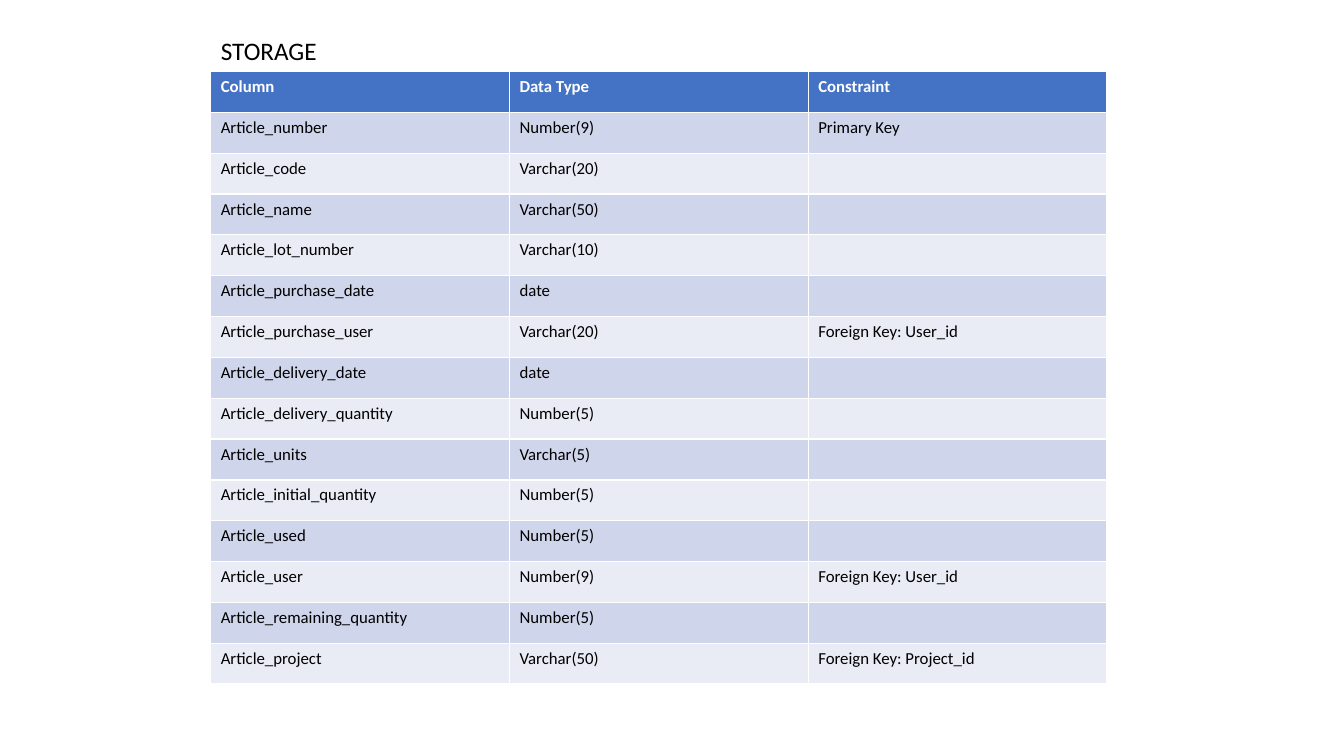
"""Build the STORAGE table definition slide."""
from dataclasses import dataclass

from pptx import Presentation
from pptx.dml.color import RGBColor
from pptx.enum.text import MSO_ANCHOR, MSO_AUTO_SIZE, PP_ALIGN
from pptx.slide import Slide
from pptx.table import Table
from pptx.text.text import _Paragraph
from pptx.util import Inches, Pt


@dataclass(frozen=True)
class Theme:
    font: str = "Calibri"
    white: RGBColor = RGBColor(0xFF, 0xFF, 0xFF)
    black: RGBColor = RGBColor(0, 0, 0)
    head: RGBColor = RGBColor(0x44, 0x72, 0xC4)
    bands: tuple[RGBColor, ...] = (RGBColor(0xCF, 0xD5, 0xEA), RGBColor(0xE9, 0xEB, 0xF5))
    title: Pt = Pt(18)
    body: Pt = Pt(12)


@dataclass(frozen=True)
class Field:
    name: str
    kind: str
    rule: str = ""


THEME = Theme()
LEFT = Inches(2.09)
WIDTH = Inches(8.89)
HEIGHT = Inches(6.08)
HEAD = Field("Column", "Data Type", "Constraint")
FIELDS = [
    Field("Article_number", "Number(9)", "Primary Key"),
    Field("Article_code", "Varchar(20)"),
    Field("Article_name", "Varchar(50)"),
    Field("Article_lot_number", "Varchar(10)"),
    Field("Article_purchase_date", "date"),
    Field("Article_purchase_user", "Varchar(20)", "Foreign Key: User_id"),
    Field("Article_delivery_date", "date"),
    Field("Article_delivery_quantity", "Number(5)"),
    Field("Article_units", "Varchar(5)"),
    Field("Article_initial_quantity", "Number(5)"),
    Field("Article_used", "Number(5)"),
    Field("Article_user", "Number(9)", "Foreign Key: User_id"),
    Field("Article_remaining_quantity", "Number(5)"),
    Field("Article_project", "Varchar(50)", "Foreign Key: Project_id"),
]


def add_text(para: _Paragraph, text: str, size: Pt, color: RGBColor, bold: bool = False) -> None:
    run = para.add_run()
    run.text = text
    run.font.name = THEME.font
    run.font.size = size
    run.font.bold = bold
    run.font.color.rgb = color


def add_title(slide: Slide, text: str) -> None:
    title = slide.shapes.title
    title.left, title.top = LEFT, Inches(0.3)
    title.width, title.height = Inches(1.16), Inches(0.4)
    frame = title.text_frame
    frame.word_wrap = False
    frame.auto_size = MSO_AUTO_SIZE.SHAPE_TO_FIT_TEXT
    frame.vertical_anchor = MSO_ANCHOR.TOP
    para = frame.paragraphs[0]
    para.alignment = PP_ALIGN.LEFT
    add_text(para, text, THEME.title, THEME.black)


def fill_row(table: Table, row: int, field: Field, fill: RGBColor, color: RGBColor, bold: bool) -> None:
    for col, text in enumerate((field.name, field.kind, field.rule)):
        cell = table.cell(row, col)
        cell.fill.solid()
        cell.fill.fore_color.rgb = fill
        if text:
            add_text(cell.text_frame.paragraphs[0], text, THEME.body, color, bold)


def add_fields(slide: Slide) -> None:
    frame = slide.shapes.add_table(len(FIELDS) + 1, 3, LEFT, Inches(0.71), WIDTH, HEIGHT)
    table = frame.table
    fill_row(table, 0, HEAD, THEME.head, THEME.white, True)
    for row, field in enumerate(FIELDS, 1):
        band = THEME.bands[(row - 1) % len(THEME.bands)]
        fill_row(table, row, field, band, THEME.black, False)


def main() -> None:
    deck = Presentation()
    deck.slide_width, deck.slide_height = Inches(13.33), Inches(7.5)
    slide = deck.slides.add_slide(deck.slide_layouts.get_by_name("Title Only"))
    add_title(slide, "STORAGE")
    add_fields(slide)
    deck.save("out.pptx")


main()
